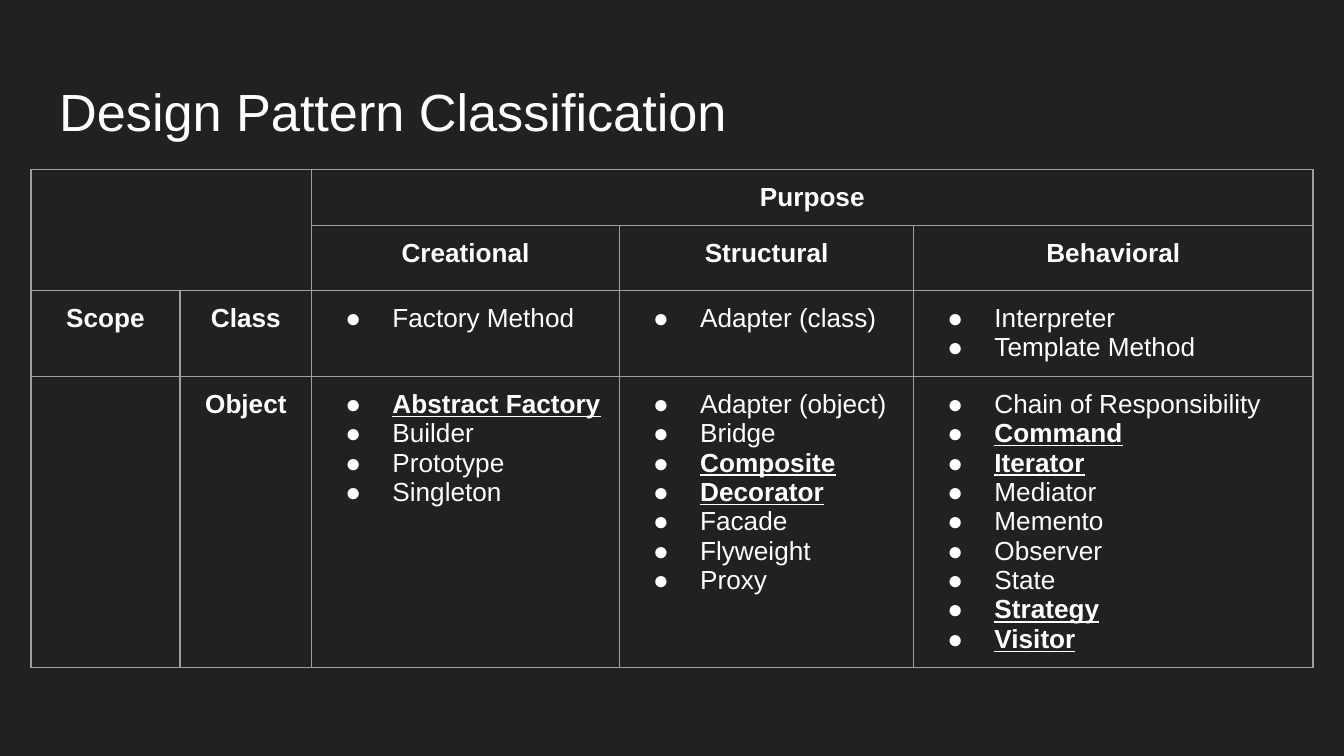
from dataclasses import dataclass

from lxml import etree
from pptx import Presentation
from pptx.dml.color import RGBColor
from pptx.enum.text import MSO_ANCHOR, MSO_AUTO_SIZE, PP_ALIGN
from pptx.oxml.ns import qn
from pptx.util import Inches, Pt

TOP, NO_FIT = MSO_ANCHOR.TOP, MSO_AUTO_SIZE.NONE
LEFT, CENTER = PP_ALIGN.LEFT, PP_ALIGN.CENTER


@dataclass(frozen=True)
class Theme:
    font: str = "Arial"
    background: str = "212121"
    text: str = "FFFFFF"
    border: str = "9E9E9E"
    title_size: int = 28
    body_size: int = 14
    border_width: float = 0.75


theme = Theme()


def format_span(span, size, bold=False, underline=False):
    span.font.name = theme.font
    span.font.size = Pt(size)
    span.font.bold = bold
    span.font.underline = underline
    span.font.color.rgb = RGBColor.from_string(theme.text)


column_widths = [1.11, 0.98, 2.29, 2.19, 2.97]
row_heights = [0.42, 0.48, 0.64, 2.16]
headings = {
    (0, 2): "Purpose",
    (1, 2): "Creational",
    (1, 3): "Structural",
    (1, 4): "Behavioral",
    (2, 0): "Scope",
    (2, 1): "Class",
    (3, 1): "Object",
}
patterns = {
    (2, 2): ["Factory Method"],
    (2, 3): ["Adapter (class)"],
    (2, 4): ["Interpreter", "Template Method"],
    (3, 2): ["Abstract Factory", "Builder", "Prototype", "Singleton"],
    (3, 3): ["Adapter (object)", "Bridge", "Composite", "Decorator",
             "Facade", "Flyweight", "Proxy"],
    (3, 4): ["Chain of Responsibility", "Command", "Iterator", "Mediator",
             "Memento", "Observer", "State", "Strategy", "Visitor"],
}
highlighted = {"Abstract Factory", "Composite", "Decorator", "Command",
               "Iterator", "Strategy", "Visitor"}

deck = Presentation()
deck.slide_width = Inches(10)
deck.slide_height = deck.slide_width * 9 // 16
page = deck.slides.add_slide(deck.slide_layouts[5])
page.background.fill.solid()
page.background.fill.fore_color.rgb = RGBColor.from_string(theme.background)

title = page.shapes.title
title.left, title.top = Inches(0.34), Inches(0.49)
title.width, title.height = Inches(9.32), Inches(0.63)
frame = title.text_frame
frame.text = "Design Pattern Classification"
frame.auto_size = NO_FIT
frame.vertical_anchor = TOP
frame.margin_left = frame.margin_right = Inches(0.1)
frame.margin_top = frame.margin_bottom = Inches(0.1)
frame.paragraphs[0].alignment = LEFT
format_span(frame.paragraphs[0].runs[0], theme.title_size)

table = page.shapes.add_table(
    len(row_heights), len(column_widths), Inches(0.23), Inches(1.26),
    Inches(sum(column_widths)), Inches(sum(row_heights))).table
table.first_row = table.horz_banding = False
for column, width in zip(table.columns, column_widths):
    column.width = Inches(width)
for row, height in zip(table.rows, row_heights):
    row.height = Inches(height)
table.cell(0, 0).merge(table.cell(1, 1))
table.cell(0, 2).merge(table.cell(0, 4))

for cell in table.iter_cells():
    cell.margin_left = cell.margin_right = Inches(0.1)
    cell.margin_top = cell.margin_bottom = Inches(0.1)
    properties = cell._tc.get_or_add_tcPr()
    for side in ("lnL", "lnR", "lnT", "lnB"):
        line = etree.SubElement(properties, qn(f"a:{side}"),
                                w=str(Pt(theme.border_width)))
        fill = etree.SubElement(line, qn("a:solidFill"))
        etree.SubElement(fill, qn("a:srgbClr"), val=theme.border)
    cell.fill.background()
    ending = etree.SubElement(cell.text_frame.paragraphs[0]._p,
                              qn("a:endParaRPr"), sz=str(theme.body_size * 100))
    etree.SubElement(ending, qn("a:latin"), typeface=theme.font)

for place, heading in headings.items():
    frame = table.cell(*place).text_frame
    frame.text = heading
    frame.paragraphs[0].alignment = CENTER
    format_span(frame.paragraphs[0].runs[0], theme.body_size, bold=True)

for place, names in patterns.items():
    frame = table.cell(*place).text_frame
    frame.text = "\n".join(names)
    for para in frame.paragraphs:
        marked = para.text in highlighted
        format_span(para.runs[0], theme.body_size, marked, marked)
        properties = para._p.get_or_add_pPr()
        properties.set("marL", str(Inches(0.5)))
        properties.set("indent", str(Inches(-0.35)))
        bullet_colour = etree.SubElement(properties, qn("a:buClr"))
        etree.SubElement(bullet_colour, qn("a:srgbClr"), val=theme.text)
        etree.SubElement(properties, qn("a:buFont"), typeface=theme.font)
        etree.SubElement(properties, qn("a:buChar"), char="●")

deck.save("out.pptx")
